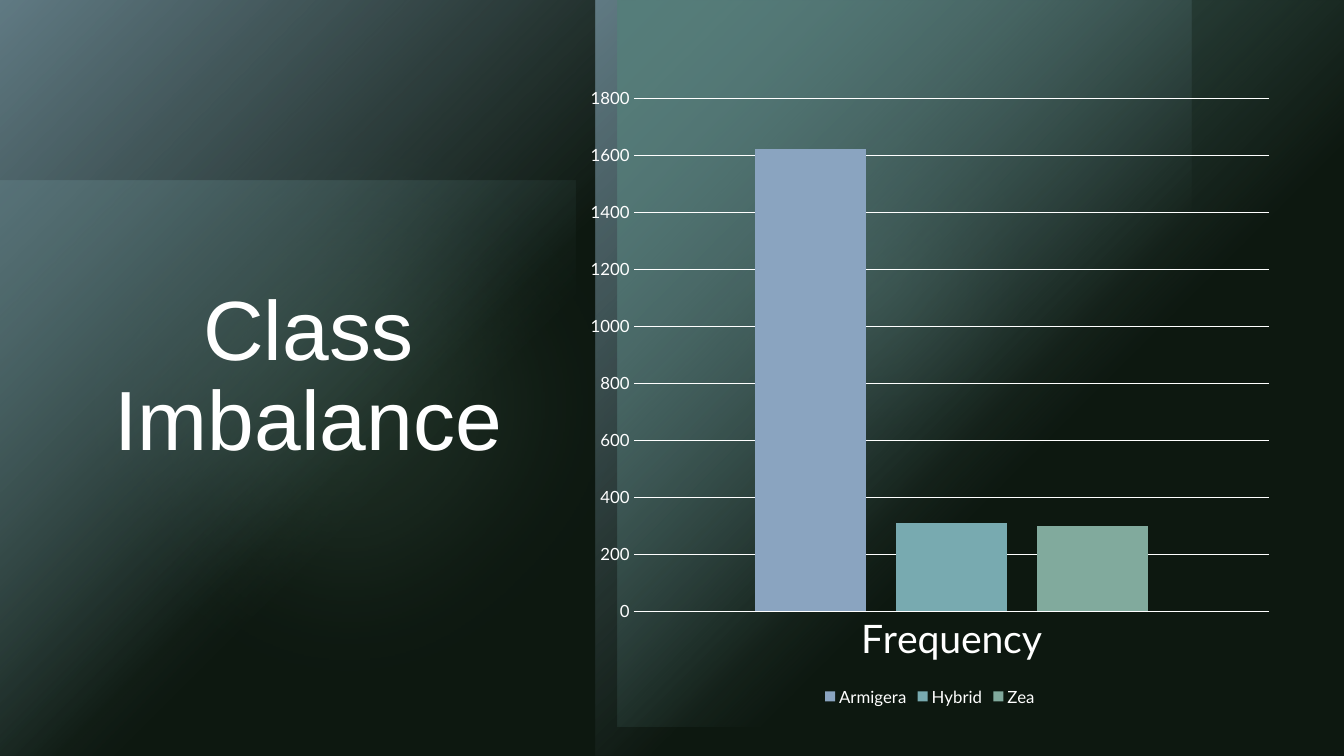
from lxml import etree
from pptx import Presentation
from pptx import util as u
from pptx.chart.data import CategoryChartData
from pptx.dml.color import RGBColor
from pptx.enum import chart as ch
from pptx.enum import shapes, text
from pptx.oxml import parse_xml
from pptx.oxml.ns import nsdecls, qn

COLORS = {
    "black": "000000",
    "white": "FFFFFF",
    "blue": "8AA4C0",
    "teal": "78AAB0",
    "sage": "81AA9D",
    "forest": "223C29",
}


def rgb(name):
    return RGBColor.from_string(COLORS[name])


class SlideBuilder:
    title_font = "Arial"
    chart_font = "Lato"

    def __init__(self, deck):
        self.page = deck.slides.add_slide(deck.slide_layouts[6])

    def background(self, color):
        fill = self.page.background.fill
        fill.solid()
        fill.fore_color.rgb = rgb(color)

    def panel(self, kind, left, top, width, height, color, alpha):
        shape = self.page.shapes.add_shape(
            kind, u.Cm(left), u.Cm(top), u.Cm(width), u.Cm(height))
        shape.shadow.inherit = False
        shape.line.fill.background()
        shape.fill.solid()
        shape.fill.fore_color.rgb = rgb(color)
        tint = shape.fill._xPr.find(".//" + qn("a:srgbClr"))
        etree.SubElement(tint, qn("a:alpha")).set("val", str(alpha * 1000))
        return shape

    def corner_glow(self, left, top, width, height, color, alpha=100):
        shape = self.panel(shapes.MSO_SHAPE.RECTANGLE, left, top, width, height, color, alpha)
        stops = "".join(
            f'<a:gs pos="{place * 1000}"><a:srgbClr val="{COLORS[color]}">'
            f'<a:alpha val="{opacity * 1000}"/></a:srgbClr></a:gs>'
            for place, opacity in ((0, alpha), (60, 0)))
        gradient = parse_xml(
            f'<a:gradFill {nsdecls("a")} rotWithShape="1"><a:gsLst>{stops}</a:gsLst>'
            '<a:path path="circle"><a:fillToRect r="100000" b="100000"/></a:path>'
            '</a:gradFill>')
        properties = shape.fill._xPr
        properties.replace(properties.find(qn("a:solidFill")), gradient)

    def soft_disc(self, left, top, size, color, alpha, softness):
        shape = self.panel(shapes.MSO_SHAPE.OVAL, left, top, size, size, color, alpha)
        effects = shape.fill._xPr.find(qn("a:effectLst"))
        etree.SubElement(effects, qn("a:softEdge")).set("rad", str(u.Cm(softness)))

    def title(self, words, left, top, width, height):
        box = self.page.shapes.add_textbox(
            u.Cm(left), u.Cm(top), u.Cm(width), u.Cm(height))
        frame = box.text_frame
        frame.word_wrap = True
        frame.vertical_anchor = text.MSO_ANCHOR.MIDDLE
        para = frame.paragraphs[0]
        para.text = words
        para.alignment = text.PP_ALIGN.CENTER
        para.line_spacing = 0.9
        self.style(para.font, 60, self.title_font)

    def style(self, font, size, name):
        font.size = u.Pt(size)
        font.name = name
        font.bold = False
        font.color.rgb = rgb("white")

    def thin_line(self, line):
        line.color.rgb = rgb("white")
        line.width = u.Pt(0.75)

    def column_chart(self, category, series, left, top, width, height):
        data = CategoryChartData()
        data.categories = [category]
        for name, value, color in series:
            data.add_series(name, [value])
        chart = self.page.shapes.add_chart(
            ch.XL_CHART_TYPE.COLUMN_CLUSTERED, u.Cm(left), u.Cm(top),
            u.Cm(width), u.Cm(height), data).chart
        self.style(chart.font, 10, self.chart_font)
        chart.has_title = False
        chart.has_legend = True
        chart.legend.position = ch.XL_LEGEND_POSITION.BOTTOM
        chart.legend.include_in_layout = False
        self.style(chart.legend.font, 12, self.chart_font)

        plot = chart.plots[0]
        plot.vary_by_categories = False
        plot.gap_width = 219
        plot.overlap = -27
        for bars, (name, value, color) in zip(plot.series, series):
            bars.format.fill.solid()
            bars.format.fill.fore_color.rgb = rgb(color)

        for axis, size in ((chart.category_axis, 28), (chart.value_axis, 12)):
            axis.major_tick_mark = ch.XL_TICK_MARK.NONE
            axis.minor_tick_mark = ch.XL_TICK_MARK.NONE
            self.style(axis.tick_labels.font, size, self.chart_font)
        self.thin_line(chart.category_axis.format.line)
        values = chart.value_axis
        values.minimum_scale, values.maximum_scale, values.major_unit = 0, 1800, 200
        values.format.line.fill.background()
        values.has_major_gridlines = True
        self.thin_line(values.major_gridlines.format.line)


def main():
    deck = Presentation()
    deck.slide_width, deck.slide_height = u.Cm(33.87), u.Cm(19.05)
    slide = SlideBuilder(deck)
    slide.background("black")
    slide.corner_glow(0, 4.56, 14.5, 14.5, "teal", 60)
    slide.soft_disc(15.98, 1.09, 11.99, "sage", 60, 3.5)
    slide.soft_disc(0, 1.42, 17.63, "sage", 20, 3.5)
    for left in (0, 15.01):
        slide.corner_glow(left, 0, 15.01, 19.05, "blue")
    slide.corner_glow(15.56, 0, 18.31, 18.31, "teal")
    slide.panel(shapes.MSO_SHAPE.RECTANGLE, 0, 0, 33.87, 19.05, "forest", 40)
    slide.title("Class Imbalance", 1.52, 6.5, 12.5, 6.07)
    slide.column_chart(
        "Frequency",
        [("Armigera", 1620, "blue"), ("Hybrid", 310, "teal"), ("Zea", 300, "sage")],
        14.53, 1.9, 17.81, 16)
    deck.save("out.pptx")


if __name__ == "__main__":
    main()
